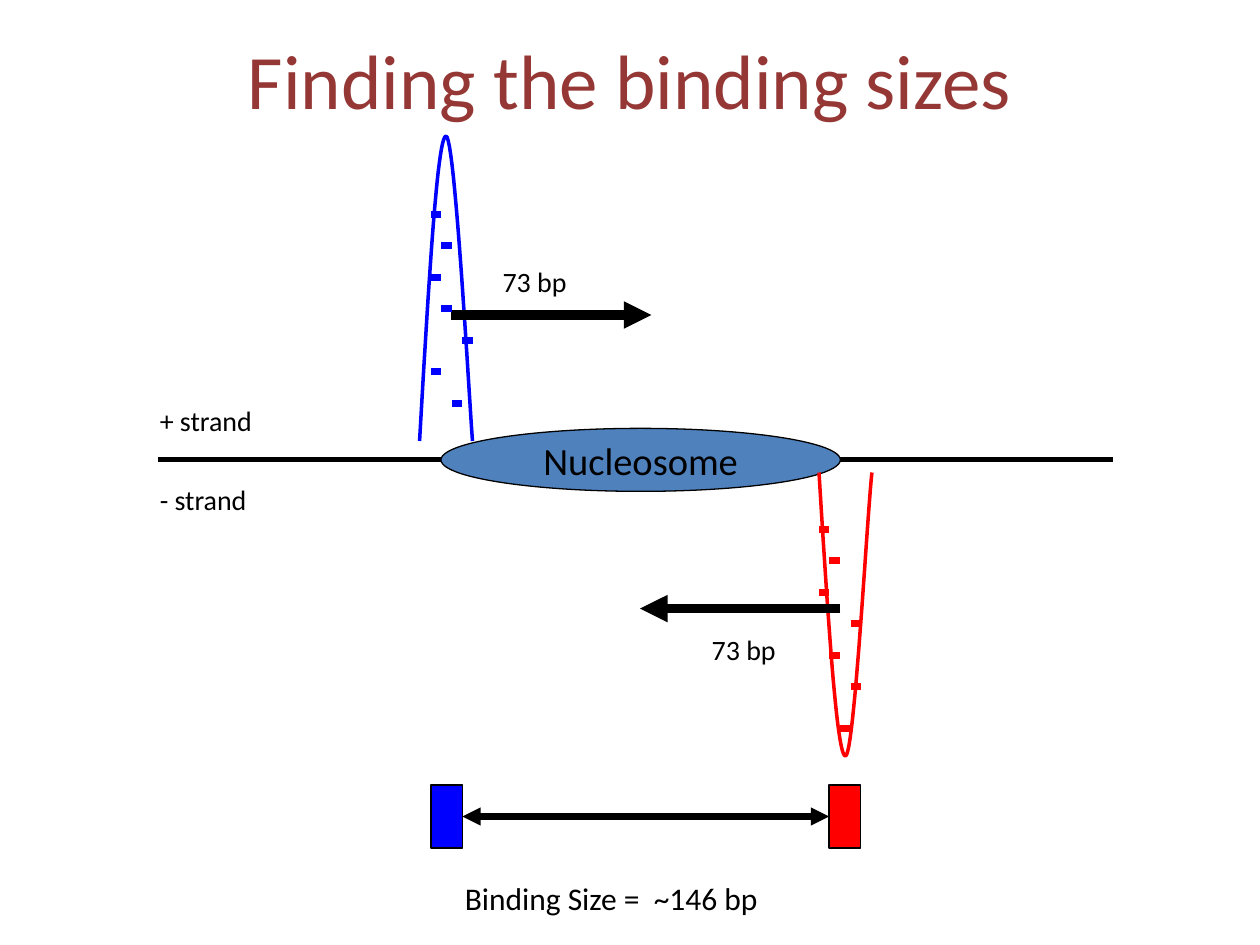
"""Build the slide on finding nucleosome binding sizes from strand peaks."""
from lxml import etree
from pptx import Presentation
from pptx.dml.color import RGBColor
from pptx.enum.shapes import MSO_CONNECTOR, MSO_SHAPE
from pptx.enum.text import MSO_ANCHOR, MSO_AUTO_SIZE, PP_ALIGN
from pptx.oxml.ns import qn
from pptx.util import Inches, Pt

COLORS = {"black": "000000", "plus": "0000FF", "minus": "FF0000",
          "nucleosome": "4F81BD", "title": "953735"}
FONT = "Calibri"
TITLE = ("Finding the binding sizes", 0.5, 0, 9, 1.25)
LABELS = [
    ("+ strand", 1.17, 3.15, 0.94, 0.37, 16),
    ("- strand", 1.17, 3.78, 0.9, 0.37, 16),
    ("73 bp", 3.89, 2.05, 0.78, 0.37, 16),
    ("73 bp", 5.55, 4.97, 0.78, 0.37, 16),
    ("Binding Size =  ~146 bp", 3.59, 6.93, 2.99, 0.4, 18),
]
PEAKS = {
    "plus": [(3.33, 3.5), (3.4, 2.29), (3.47, 1.08), (3.54, 1.08),
             (3.61, 1.08), (3.72, 3.1), (3.75, 3.5)],
    "minus": [(6.5, 3.75), (6.57, 4.88), (6.64, 6), (6.71, 6),
              (6.78, 6), (6.88, 4.12), (6.92, 3.75)],
}
READ_WIDTH = 1 / 12
READ_STEP = 0.25
READS = {
    "plus": (3.42, 1.7, [0, 1, 0, 1, 3, 0, 2]),
    "minus": (6.5, 4.2, [0, 1, 0, 3, 1, 3]),
}
LAST_MINUS_READ = (6.67, 5.78)
SHIFTS = [(3.58, 5.17, 2.5), (6.67, 5.08, 4.83)]
SITES = {"plus": 3.42, "minus": 6.58}
SITE_TOP, SITE_WIDTH, SITE_HEIGHT = 6.23, 0.25, 0.5
CURVE_STEPS = 24


def rgb(name):
    return RGBColor.from_string(COLORS[name])


def write(shape, text, size, color="black", align=PP_ALIGN.LEFT, wrap=False):
    frame = shape.text_frame
    frame.word_wrap = wrap
    paragraph = frame.paragraphs[0]
    paragraph.text = text
    paragraph.alignment = align
    paragraph.font.name = FONT
    paragraph.font.size = Pt(size)
    paragraph.font.color.rgb = rgb(color)
    return frame


def add_text(page, text, left, top, width, height, size, **style):
    box = page.shapes.add_textbox(*map(Inches, (left, top, width, height)))
    return write(box, text, size, **style)


def add_line(page, start, end, y, width, color="black", arrows=()):
    line = page.shapes.add_connector(
        MSO_CONNECTOR.STRAIGHT, *map(Inches, (start, y, end, y)))
    line.line.color.rgb = rgb(color)
    line.line.width = Pt(width)
    outline = line.line._get_or_add_ln()
    for arrow in arrows:
        etree.SubElement(outline, qn(f"a:{arrow}"), type="triangle")
    etree.SubElement(line._element.spPr, qn("a:effectLst"))


def add_solid(page, kind, left, top, width, height, color):
    shape = page.shapes.add_shape(kind, *map(Inches, (left, top, width, height)))
    shape.shadow.inherit = False
    shape.fill.solid()
    shape.fill.fore_color.rgb = rgb(color)
    shape.line.color.rgb = rgb("black")
    shape.line.width = Pt(0.75)
    return shape


def bezier(points, t):
    weights = ((1 - t) ** 3, 3 * t * (1 - t) ** 2, 3 * t ** 2 * (1 - t), t ** 3)
    return tuple(Inches(sum(weight * point[axis] for weight, point in zip(weights, points)))
                 for axis in (0, 1))


def add_peak(page, points, color):
    curve = [bezier(points[first:first + 4], step / CURVE_STEPS)
             for first in (0, 3) for step in range(1, CURVE_STEPS + 1)]
    builder = page.shapes.build_freeform(*map(Inches, points[0]))
    builder.add_line_segments(curve, close=False)
    peak = builder.convert_to_shape()
    peak.shadow.inherit = False
    peak.fill.background()
    peak.line.color.rgb = rgb(color)
    peak.line.width = Pt(2)


def add_read(page, left, y, color):
    add_line(page, left, left + READ_WIDTH, y, 4, color)


def main():
    deck = Presentation()
    deck.slide_width, deck.slide_height = Inches(10), Inches(7.5)
    page = deck.slides.add_slide(deck.slide_layouts[6])

    add_line(page, 1.25, 8.83, 3.65, 2.75)
    nucleosome = add_solid(page, MSO_SHAPE.OVAL, 3.5, 3.4, 3.17, 0.5, "nucleosome")
    frame = write(nucleosome, "Nucleosome", 22, align=PP_ALIGN.CENTER)
    frame.vertical_anchor = MSO_ANCHOR.MIDDLE

    for strand, points in PEAKS.items():
        add_peak(page, points, strand)
    for start, end, y in SHIFTS:
        add_line(page, start, end, y, 5.25, arrows=["tailEnd"])

    add_line(page, SITES["minus"], SITES["plus"] + SITE_WIDTH,
             SITE_TOP + SITE_HEIGHT / 2, 3.5, arrows=["headEnd", "tailEnd"])
    for strand, left in SITES.items():
        add_solid(page, MSO_SHAPE.RECTANGLE, left, SITE_TOP, SITE_WIDTH, SITE_HEIGHT, strand)

    for strand, (left, top, columns) in READS.items():
        for row, column in enumerate(columns):
            add_read(page, left + column * READ_WIDTH, top + row * READ_STEP, strand)
    add_read(page, *LAST_MINUS_READ, "minus")

    for label in LABELS:
        add_text(page, *label).auto_size = MSO_AUTO_SIZE.SHAPE_TO_FIT_TEXT
    title = add_text(page, *TITLE, 44, color="title", align=PP_ALIGN.CENTER, wrap=True)
    title.vertical_anchor = MSO_ANCHOR.MIDDLE
    deck.save("out.pptx")


if __name__ == "__main__":
    main()
